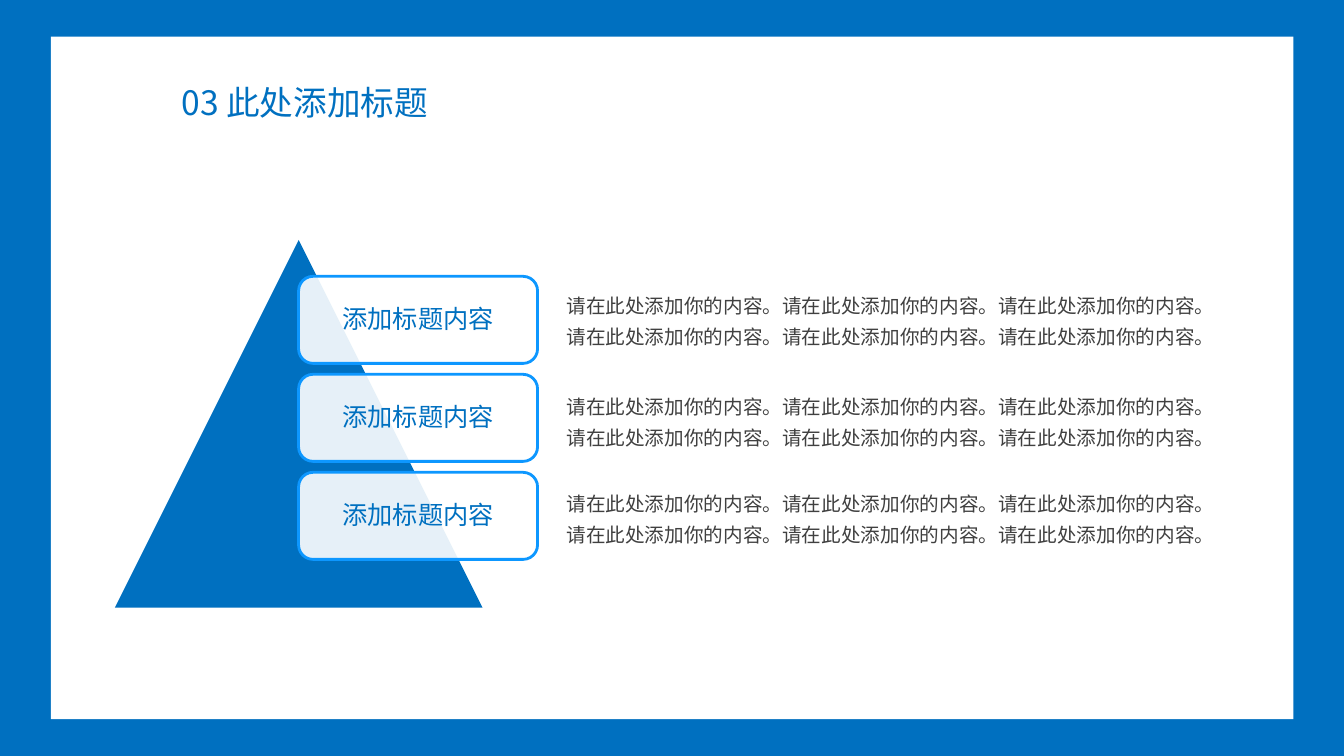
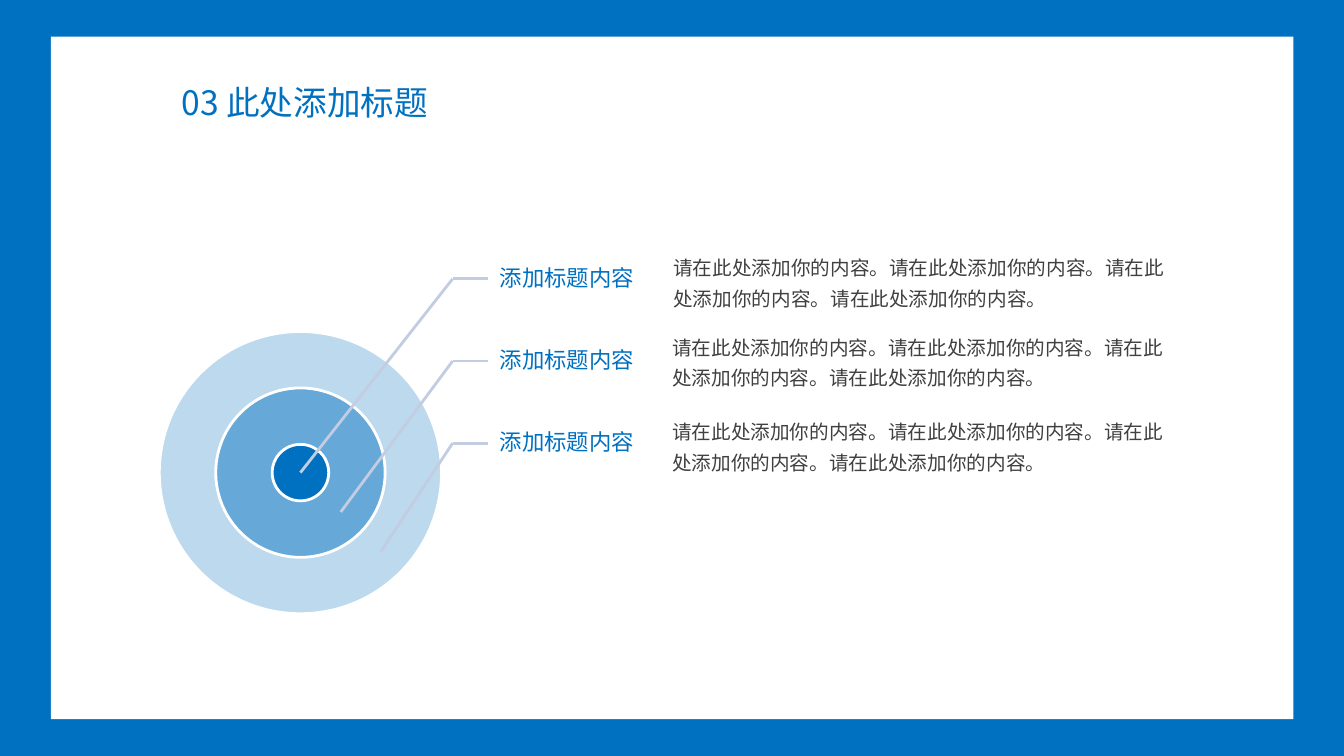
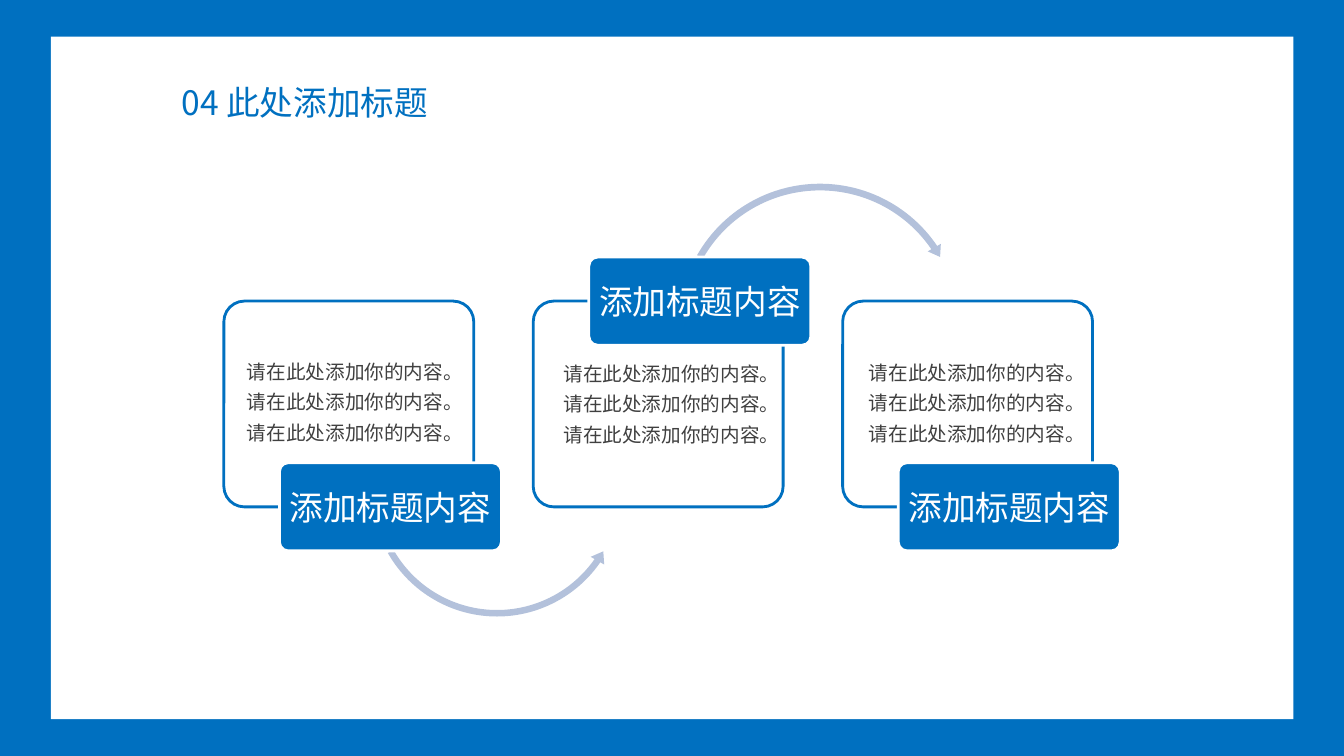
from dataclasses import dataclass

import pptx
import pptx.dml.color
import pptx.enum.shapes
import pptx.enum.text
import pptx.oxml.ns
import pptx.util
from lxml import etree

Pt = pptx.util.Pt
qn = pptx.oxml.ns.qn
SHAPE = pptx.enum.shapes.MSO_SHAPE
ALIGN = pptx.enum.text.PP_ALIGN
ANCHOR = pptx.enum.text.MSO_ANCHOR
AUTO_SIZE = pptx.enum.text.MSO_AUTO_SIZE


@dataclass(frozen=True)
class Theme:
    font: str = "Noto Sans CJK SC"
    blue: str = "0070C0"
    bright: str = "0D97FF"
    white: str = "FFFFFF"
    ink: str = "404040"
    leader: str = "C2CDE1"
    arrow: str = "B3C1DB"
    title_size: int = 24
    card_size: int = 18
    label_size: int = 16
    body_size: int = 14
    line_width: int = 2


THEME = Theme()
HEADING = "添加标题内容"
SENTENCE = "请在此处添加你的内容。"


def rgb(color):
    return pptx.dml.color.RGBColor.from_string(color)


def write(frame, text, *, size, color, align=ALIGN.LEFT, anchor=ANCHOR.TOP,
          spacing=1.0, insets=(0, 0, 0, 0), grow=False):
    """Fill a text frame; insets are left, top, right, bottom in points."""
    frame.word_wrap = True
    frame.auto_size = AUTO_SIZE.SHAPE_TO_FIT_TEXT if grow else AUTO_SIZE.NONE
    frame.vertical_anchor = anchor
    (frame.margin_left, frame.margin_top,
     frame.margin_right, frame.margin_bottom) = map(Pt, insets)
    paragraph = frame.paragraphs[0]
    paragraph.alignment = align
    paragraph.line_spacing = spacing
    run = paragraph.add_run()
    run.text = text
    run.font.size = Pt(size)
    run.font.color.rgb = rgb(color)
    run.font.name = THEME.font
    east_asian = etree.SubElement(run.font._element, qn("a:ea"))
    east_asian.set("typeface", THEME.font)


class Deck:
    def __init__(self, theme):
        self.theme = theme
        self.show = pptx.Presentation()
        self.show.slide_width, self.show.slide_height = Pt(960), Pt(540)
        backdrop = self.show.slide_master.background.fill
        backdrop.solid()
        backdrop.fore_color.rgb = rgb(theme.blue)
        self.slide = None

    def new_slide(self, heading):
        self.slide = self.show.slides.add_slide(self.show.slide_layouts[5])
        panel = self.shape(SHAPE.RECTANGLE, 36.3, 26.2, 887.5, 487.5, fill=self.theme.white)
        self.slide.shapes._spTree.insert(2, panel._element)  # behind the title
        title = self.slide.shapes.title
        title.left, title.top, title.width, title.height = map(Pt, (122.4, 54.7, 207.4, 36))
        write(title.text_frame, heading, size=self.theme.title_size, color=self.theme.blue,
              insets=(7.2, 3.6, 7.2, 3.6), grow=True)

    def shape(self, kind, left, top, width, height, *, fill, opacity=100,
              line=None, adjust=()):
        item = self.slide.shapes.add_shape(kind, *map(Pt, (left, top, width, height)))
        item.shadow.inherit = False
        item.fill.solid()
        item.fill.fore_color.rgb = rgb(fill)
        if opacity < 100:
            tint = next(item._element.spPr.iter(qn("a:srgbClr")))
            etree.SubElement(tint, qn("a:alpha")).set("val", str(opacity * 1000))
        if line:
            item.line.color.rgb = rgb(line)
            item.line.width = Pt(self.theme.line_width)
        else:
            item.line.fill.background()
        for index, value in enumerate(adjust):
            item.adjustments[index] = value
        return item

    def text(self, text, left, top, width, height, **style):
        box = self.slide.shapes.add_textbox(*map(Pt, (left, top, width, height)))
        write(box.text_frame, text, **style)
        return box

    def body(self, sentences, left, top, width, height=42.5):
        self.text(SENTENCE * sentences, left, top, width, height, size=self.theme.body_size,
                  color=self.theme.ink, spacing=1.3, grow=True)

    def line(self, start, end, joined=None):
        """Draw a leader; its end may join the left side of a shape."""
        leader = self.slide.shapes.add_connector(
            pptx.enum.shapes.MSO_CONNECTOR.STRAIGHT, *map(Pt, start + end))
        leader.line.color.rgb = rgb(self.theme.leader)
        leader.line.width = Pt(self.theme.line_width)
        etree.SubElement(leader._element.spPr, qn("a:effectLst"))
        if joined is not None:
            leader.end_connect(joined, 1)


def pyramid_slide(deck):
    deck.new_slide("03 此处添加标题")
    deck.shape(SHAPE.ISOSCELES_TRIANGLE, 82.1, 171.4, 262.6, 262.6, fill=THEME.blue)
    for row, body_top in enumerate((205.2, 277.2, 346.3)):
        card = deck.shape(SHAPE.ROUNDED_RECTANGLE, 213.3, 197.4 + 70 * row, 170.7, 62.2,
                          fill=THEME.white, opacity=90, line=THEME.bright)
        write(card.text_frame, HEADING, size=THEME.card_size, color=THEME.blue,
              align=ALIGN.CENTER, anchor=ANCHOR.MIDDLE, spacing=0.9)
        deck.body(6, 404.6, body_top, 465.1)


def target_slide(deck):
    deck.new_slide("03 此处添加标题")
    # Concentric rings
    center_x, center_y = 214.6, 337.6
    for radius, opacity in ((100.8, 26), (60.5, 46), (20.2, 100)):
        deck.shape(SHAPE.OVAL, center_x - radius, center_y - radius, 2 * radius, 2 * radius,
                   fill=THEME.blue, opacity=opacity, line=THEME.white)
    # Labels with bent leaders
    elbow_x, label_x, label_height = 323.3, 348.5, 59
    for row, (body_left, body_top) in enumerate(((481, 177.8), (480.2, 234.7), (480.2, 295.2))):
        middle = 199.2 + 58.7 * row
        label = deck.text(HEADING, label_x, middle - label_height / 2, 120, label_height,
                          size=THEME.label_size, color=THEME.blue, anchor=ANCHOR.MIDDLE,
                          spacing=0.9, insets=(8.6, 1.4, 1.4, 1.4))
        elbow = (elbow_x, middle)
        deck.line(elbow, (label_x, middle), joined=label)
        deck.line(elbow, (center_x + 28.8 * row, center_y + 28.1 * row))
        deck.body(4, body_left, body_top, 364.3)


def process_slide(deck):
    deck.new_slide("04 此处添加标题")
    # Curved arrows between the steps
    deck.shape(SHAPE.LEFT_CIRCULAR_ARROW, 262.1, 257.8, 185.8, 185.8, fill=THEME.arrow,
               adjust=(0.025, 3.094, 20.849, 90.245, 0.03))
    deck.shape(SHAPE.CIRCULAR_ARROW, 481.7, 128.2, 208.1, 208.1, fill=THEME.arrow,
               adjust=(0.023, 2.738, 195.507, 125.755, 0.026))
    # Steps, with the tag alternately below and above
    low, high = 330.5, 183.6
    steps = ((low, 176.4, 252), (high, 402.5, 253.4), (low, 620.6, 252.7))
    for column, (tag_top, body_left, body_top) in enumerate(steps):
        left = 159.9 + 221 * column
        deck.shape(SHAPE.ROUNDED_RECTANGLE, left, 215.1, 178.5, 147, fill=THEME.white,
                   opacity=90, line=THEME.blue, adjust=(0.1,))
        tag = deck.shape(SHAPE.ROUNDED_RECTANGLE, left + 39.7, tag_top, 158.6, 63,
                         fill=THEME.blue, line=THEME.white, adjust=(0.1,))
        write(tag.text_frame, HEADING, size=THEME.title_size, color=THEME.white,
              align=ALIGN.CENTER, anchor=ANCHOR.MIDDLE)
        deck.body(3, body_left, body_top, 158.4, 64)


def main():
    deck = Deck(THEME)
    pyramid_slide(deck)
    target_slide(deck)
    process_slide(deck)
    deck.show.save("out.pptx")


if __name__ == "__main__":
    main()
